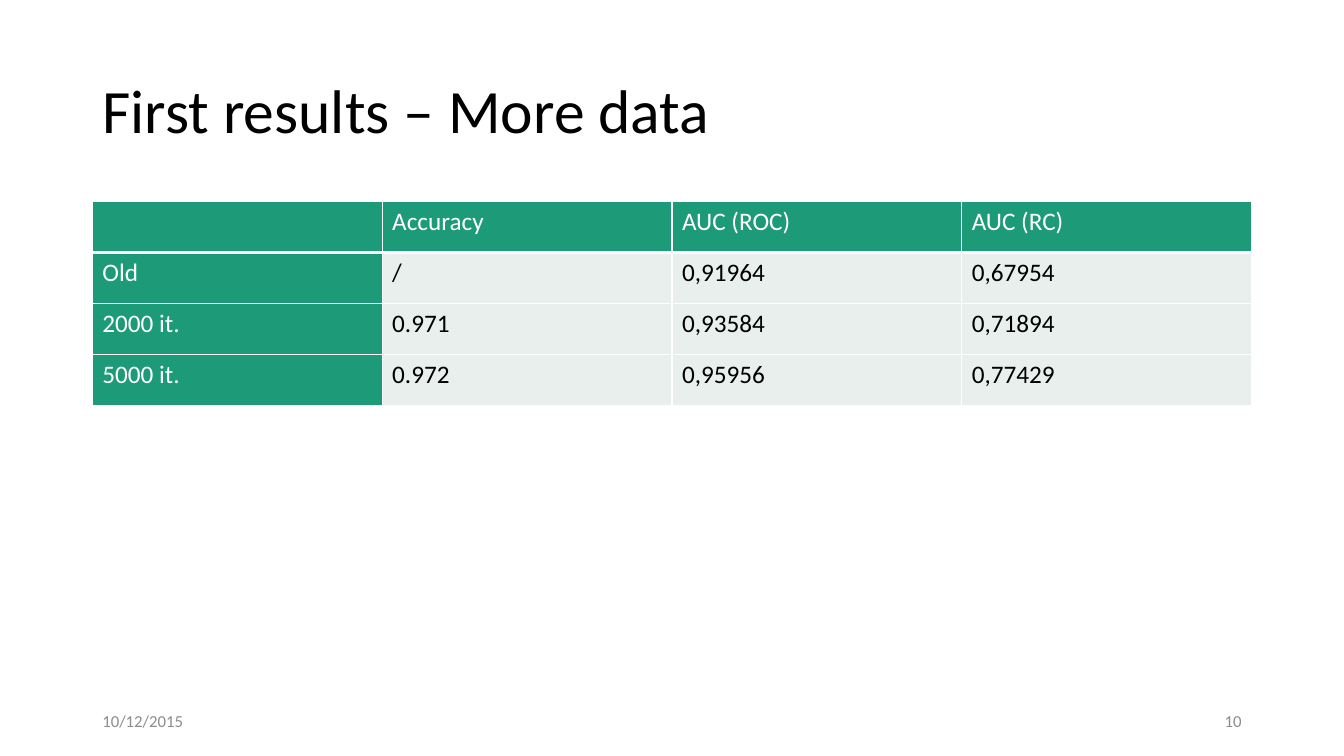
from pptx import Presentation
from pptx.dml.color import RGBColor
from pptx.enum.text import MSO_ANCHOR as Anchor, MSO_AUTO_SIZE as AutoSize, PP_ALIGN as Align
from pptx.oxml.ns import qn
from pptx.util import Pt
from lxml.etree import SubElement

GREEN = RGBColor(0x1D, 0x9A, 0x78)
PALE = RGBColor(0xE8, 0xEF, 0xEC)
GREY = RGBColor(0x8C, 0x8C, 0x8C)
BLACK = RGBColor(0, 0, 0)
WHITE = RGBColor(255, 255, 255)
FONT = "Calibri"

MARGIN, CONTENT_WIDTH = 66, 828
FOOTER_WIDTH = 216
RESULTS = [
    ["", "Accuracy", "AUC (ROC)", "AUC (RC)"],
    ["Old", "/", "0,91964", "0,67954"],
    ["2000 it.", "0.971", "0,93584", "0,71894"],
    ["5000 it.", "0.972", "0,95956", "0,77429"],
]


def write(frame, text, size, color, align=Align.LEFT):
    """Put one formatted paragraph into a text frame and return it."""
    frame.text = text
    para = frame.paragraphs[0]
    para.alignment = align
    font = para.font
    font.name, font.size, font.bold = FONT, Pt(size), False
    font.color.rgb = color
    return para


def place_title(page, box, text):
    """Move the title placeholder to the box and fill it."""
    title = page.shapes.title
    title.left, title.top, title.width, title.height = map(Pt, box)
    frame = title.text_frame
    frame.auto_size = AutoSize.NONE
    frame.vertical_anchor = Anchor.MIDDLE
    write(frame, text, 44, BLACK).line_spacing = 0.9


def add_borders(cell, bottom):
    """Draw white cell borders, 1 pt except for the given bottom width."""
    properties = cell._tc.get_or_add_tcPr()
    for side, width in {"L": 1, "R": 1, "T": 1, "B": bottom}.items():
        line = SubElement(properties, qn(f"a:ln{side}"), w=str(Pt(width)))
        fill = SubElement(line, qn("a:solidFill"))
        SubElement(fill, qn("a:srgbClr"), val=str(WHITE))


def add_results(page, box, rows):
    """Add the results table with a green header row and first column."""
    table = page.shapes.add_table(len(rows), len(rows[0]), *map(Pt, box)).table
    table.first_col = True
    table.horz_banding = False
    for r, values in enumerate(rows):
        for c, value in enumerate(values):
            cell = table.cell(r, c)
            is_header = r == 0 or c == 0
            add_borders(cell, bottom=3 if r == 0 else 1)
            cell.fill.solid()
            cell.fill.fore_color.rgb = GREEN if is_header else PALE
            write(cell.text_frame, value, 18, WHITE if is_header else BLACK)


def add_footer(page, box, date, number):
    """Add the date at the left end and the page number at the right end."""
    left, top, width, height = box
    right = left + width - FOOTER_WIDTH
    for x, text, align in ((left, date, Align.LEFT), (right, number, Align.RIGHT)):
        label = page.shapes.add_textbox(Pt(x), Pt(top), Pt(FOOTER_WIDTH), Pt(height))
        frame = label.text_frame
        frame.word_wrap = True
        frame.vertical_anchor = Anchor.MIDDLE
        write(frame, text, 12, GREY, align)


deck = Presentation()
deck.slide_width, deck.slide_height = Pt(960), Pt(540)
page = deck.slides.add_slide(deck.slide_layouts[5])
place_title(page, (MARGIN, 28.75, CONTENT_WIDTH, 104.4), "First results – More data")
add_results(page, (MARGIN, 144, CONTENT_WIDTH, 145.6), RESULTS)
add_footer(page, (MARGIN, 500.5, CONTENT_WIDTH, 28.75), "10/12/2015", "10")
deck.save("out.pptx")
